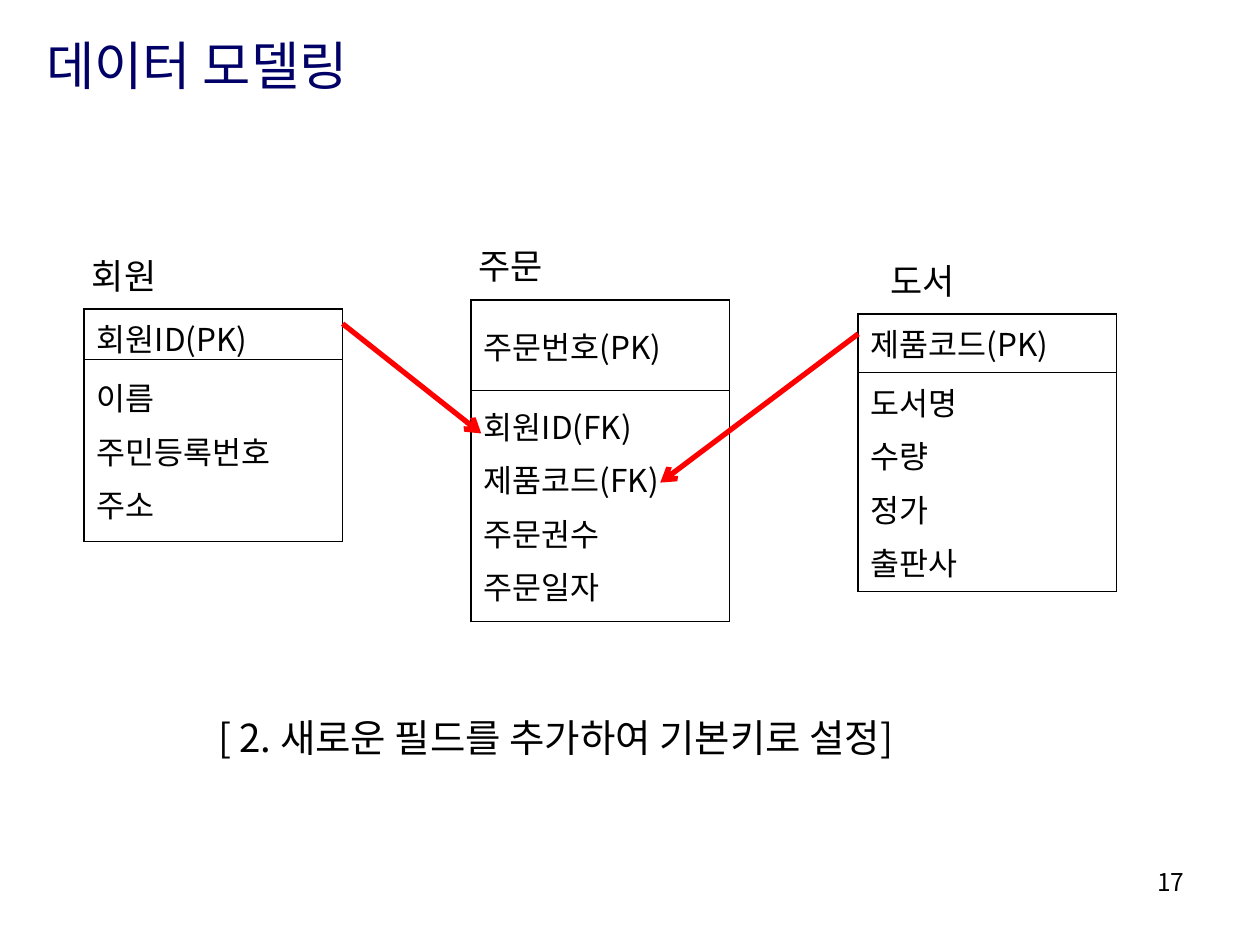
from dataclasses import dataclass

from lxml import etree
from pptx import Presentation
from pptx.dml.color import RGBColor
from pptx.enum.shapes import MSO_CONNECTOR
from pptx.enum.text import MSO_ANCHOR, PP_ALIGN
from pptx.oxml.ns import qn
from pptx.util import Pt

LEFT, CENTER, RIGHT = PP_ALIGN.LEFT, PP_ALIGN.CENTER, PP_ALIGN.RIGHT
TOP, MIDDLE = MSO_ANCHOR.TOP, MSO_ANCHOR.MIDDLE
STRAIGHT = MSO_CONNECTOR.STRAIGHT


@dataclass(frozen=True)
class Theme:
    """Font, colours, type sizes and line widths."""
    font: str = "Noto Sans CJK KR"
    ink: str = "000000"
    title_ink: str = "000066"
    arrow: str = "FF0000"
    title: float = 30
    caption: float = 22
    label: float = 20
    body: float = 18
    page: float = 14
    arrow_width: float = 3
    thick: float = 1.08
    thin: float = 0.45


@dataclass(frozen=True)
class Text:
    """A one-line text box, lengths in points."""
    text: str
    box: tuple[float, float, float, float]
    size: float
    color: str
    align: PP_ALIGN = LEFT
    anchor: MSO_ANCHOR = TOP
    before: float = 0
    spacing: float = 1
    wrap: bool = True


@dataclass(frozen=True)
class Entity:
    """A data entity: its label, key row and field row."""
    name: str
    label_box: tuple[float, float, float, float]
    top: float
    rows: tuple[float, float]
    key: str
    fields: tuple[str, ...]


@dataclass(frozen=True)
class Arrow:
    """A reference from a primary key to a foreign key."""
    start: tuple[float, float]
    end: tuple[float, float]


THEME = Theme()
TABLE_LEFT, TABLE_STEP, TABLE_WIDTH = 48.2, 221.1, 147.6

ENTITIES = (
    Entity("회원", (42.5, 148.3, 56.9, 24.5), 176.4, (28.8, 104.4),
           "회원ID(PK)", ("이름", "주민등록번호", "주소")),
    Entity("주문", (263.5, 142.6, 56.9, 24.5), 171.4, (51.8, 131.8),
           "주문번호(PK)", ("회원ID(FK)", "제품코드(FK)", "주문권수", "주문일자")),
    Entity("도서", (484.6, 151.2, 85, 24.5), 179.3, (33.6, 125),
           "제품코드(PK)", ("도서명", "수량", "정가", "출판사")),
)
ARROWS = (
    Arrow((195.8, 185), (275, 247.7)),
    Arrow((490.4, 190.8), (377.3, 275.8)),
)
TEXTS = (
    Text("데이터 모델링", (19.4, 15.1, 680.4, 43.9), THEME.title,
         THEME.title_ink, anchor=MIDDLE),
    Text("17", (516.2, 491.8, 167.8, 37.4), THEME.page, THEME.ink, RIGHT),
    Text("[ 2. 새로운 필드를 추가하여 기본키로 설정]", (99.4, 411.8, 436.3, 25.9),
         THEME.caption, THEME.ink, CENTER, before=13.8, spacing=0.7, wrap=False),
)


def style_paragraph(p, size: float, color: str, before: float) -> None:
    """Set the font and the space before one paragraph."""
    p.space_before = Pt(before)
    p.font.size = Pt(size)
    p.font.color.rgb = RGBColor.from_string(color)
    p.font.name = THEME.font
    defaults = p._p.pPr.find(qn("a:defRPr"))
    etree.SubElement(defaults, qn("a:ea"), typeface=THEME.font)


def add_text(slide, t: Text) -> None:
    """Add a text box."""
    tf = slide.shapes.add_textbox(*map(Pt, t.box)).text_frame
    tf.word_wrap = t.wrap
    tf.vertical_anchor = t.anchor
    p = tf.paragraphs[0]
    p.text = t.text
    p.alignment = t.align
    p.line_spacing = t.spacing
    style_paragraph(p, t.size, t.color, t.before)


def set_borders(cell, first: bool) -> None:
    """Draw the four borders of a cell, heavier on the outer left and top."""
    widths = {"L": THEME.thick, "R": THEME.thin,
              "T": THEME.thick if first else THEME.thin, "B": THEME.thin}
    props = cell._tc.get_or_add_tcPr()
    for i, (side, width) in enumerate(widths.items()):
        ln = etree.Element(qn(f"a:ln{side}"), w=str(Pt(width)))
        fill = etree.SubElement(ln, qn("a:solidFill"))
        etree.SubElement(fill, qn("a:srgbClr"), val=THEME.ink)
        props.insert(i, ln)


def add_entity(slide, e: Entity, left: float) -> None:
    """Add an entity table and the label above it."""
    frame = slide.shapes.add_table(2, 1, Pt(left), Pt(e.top),
                                   Pt(TABLE_WIDTH), Pt(sum(e.rows)))
    table = frame.table
    table.first_row = table.horz_banding = False
    for i, lines in enumerate(((e.key,), e.fields)):
        table.rows[i].height = Pt(e.rows[i])
        cell = table.cell(i, 0)
        cell.text = "\n".join(lines)
        cell.vertical_anchor = MIDDLE
        cell.fill.background()
        set_borders(cell, first=i == 0)
        for p in cell.text_frame.paragraphs:
            style_paragraph(p, THEME.body, THEME.ink, before=4.5)
    add_text(slide, Text(e.name, e.label_box, THEME.label, THEME.ink, CENTER,
                         before=12.5, spacing=0.7))


def add_arrow(slide, a: Arrow) -> None:
    """Add a straight arrow."""
    sp = slide.shapes.add_connector(STRAIGHT, *map(Pt, a.start + a.end))
    sp.line.color.rgb = RGBColor.from_string(THEME.arrow)
    sp.line.width = Pt(THEME.arrow_width)
    etree.SubElement(sp.line._get_or_add_ln(), qn("a:tailEnd"), type="arrow")
    etree.SubElement(sp._element.spPr, qn("a:effectLst"))


def main() -> None:
    """Build and save the slide."""
    prs = Presentation()
    prs.slide_width, prs.slide_height = Pt(720), Pt(540)
    slide = prs.slides.add_slide(prs.slide_layouts[6])
    for t in TEXTS:
        add_text(slide, t)
    for i, e in enumerate(ENTITIES):
        add_entity(slide, e, TABLE_LEFT + i * TABLE_STEP)
    for a in ARROWS:
        add_arrow(slide, a)
    prs.save("out.pptx")


main()
